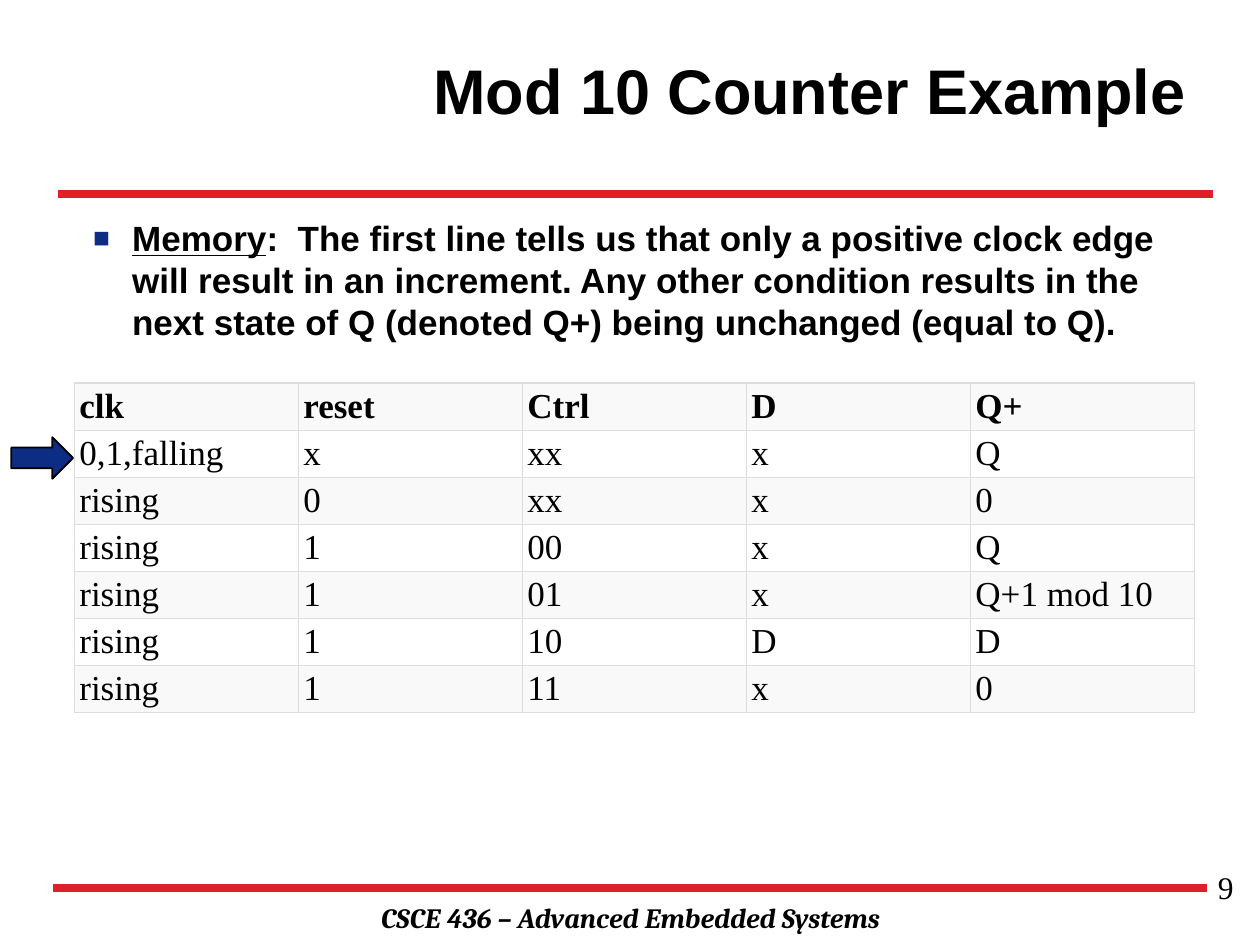
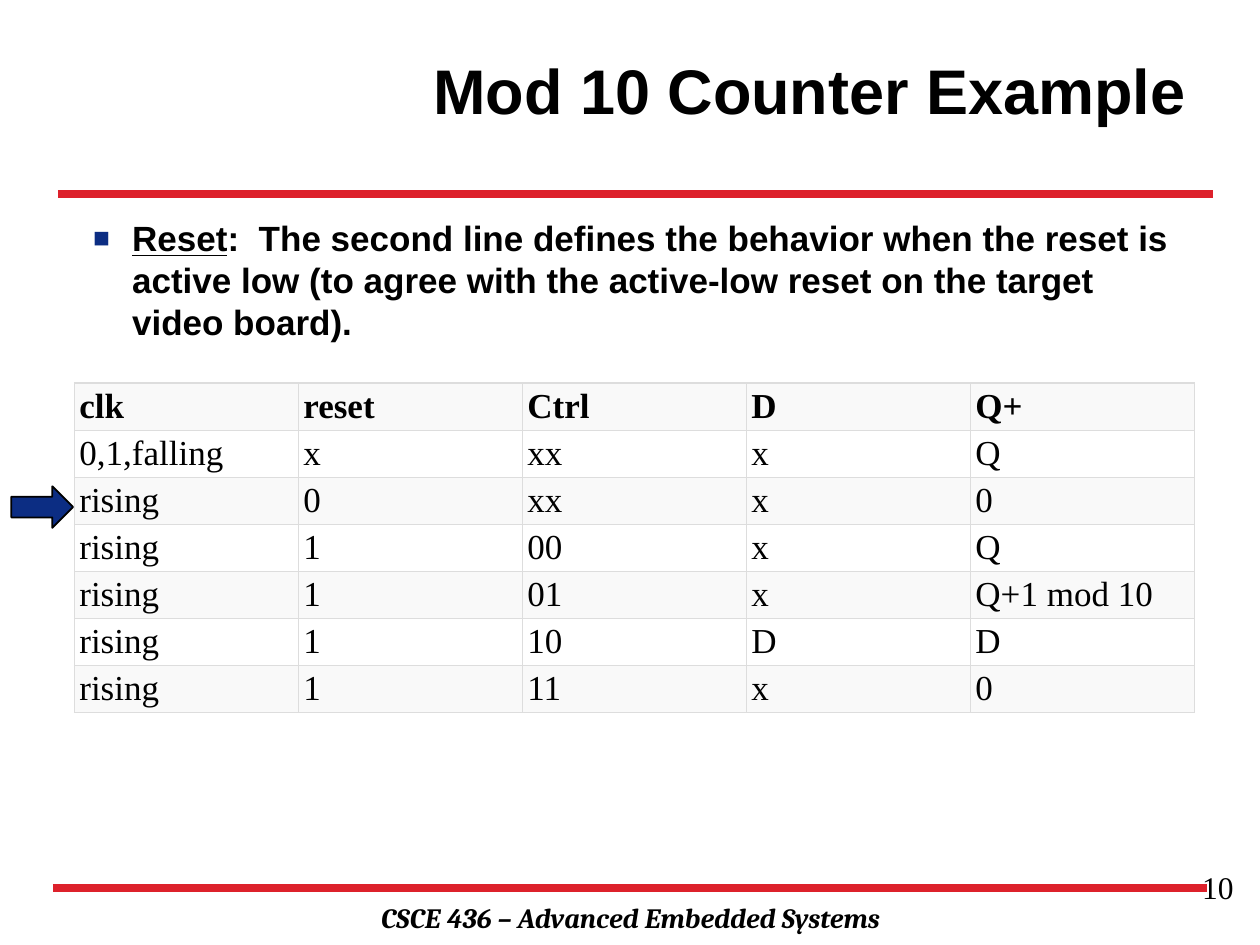
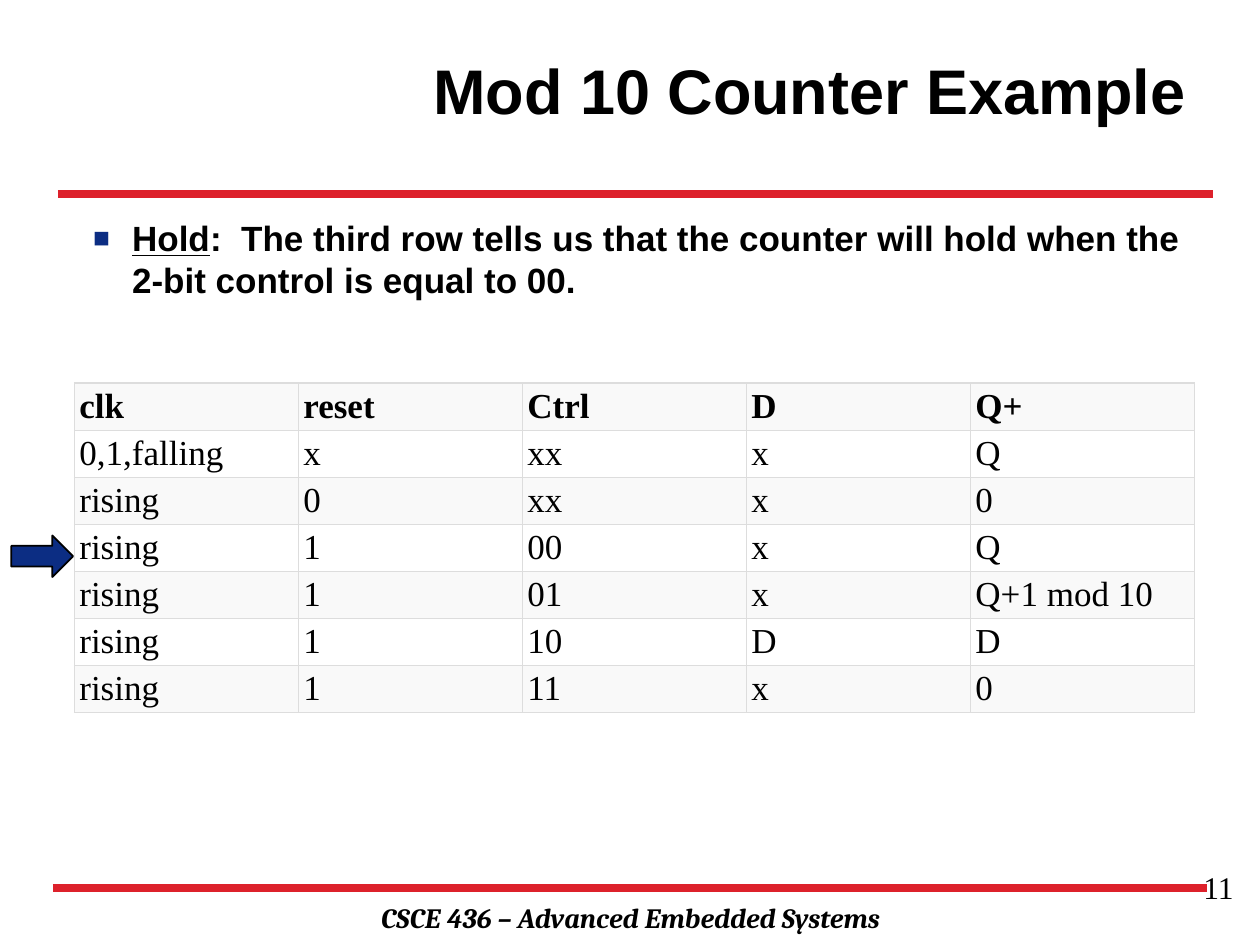
"""Build three slides that walk through the Mod 10 counter control table."""
from lxml import etree
from pptx import Presentation
from pptx import util as u
from pptx.dml.color import RGBColor
from pptx.enum import shapes, text
from pptx.oxml import ns

BLACK, WHITE, PALE = "000000", "FFFFFF", "F9F9F9"
RED, NAVY, GRAY = "DD212B", "0C2D83", "DDDDDD"
SERIF = "Times New Roman"
ALIGN = text.PP_ALIGN
COLS = 5
WIDE, HIGH = 8.89 / COLS, 0.37
NOTES = [
    ("Memory", ":  The first line tells us that only a positive clock edge will "
     "result in an increment. Any other condition results in the next state of Q "
     "(denoted Q+) being unchanged (equal to Q)."),
    ("Reset", ":  The second line defines the behavior when the reset is active low "
     "(to agree with the active-low reset on the target video board)."),
    ("Hold", ":  The third row tells us that the counter will hold when the 2-bit "
     "control is equal to 00."),
]
ROWS = [
    ["clk", "reset", "Ctrl", "D", "Q+"],
    ["0,1,falling", "x", "xx", "x", "Q"],
    ["rising", "0", "xx", "x", "0"],
    ["rising", "1", "00", "x", "Q"],
    ["rising", "1", "01", "x", "Q+1 mod 10"],
    ["rising", "1", "10", "D", "D"],
    ["rising", "1", "11", "x", "0"],
]
BULLET = [
    ("buClr", {}), ("buSzPct", {"val": "80000"}),
    ("buFont", {"typeface": "Arial"}), ("buChar", {"char": "■"}),
]


def hue(code):
    return RGBColor.from_string(code)


def write(frame, words, size=20, font="Arial", bold=False, italic=False,
          under=False, align=ALIGN.LEFT, anchor=text.MSO_ANCHOR.TOP):
    frame.word_wrap = True
    frame.vertical_anchor = anchor
    para = frame.paragraphs[0]
    para.alignment = align
    run = para.add_run()
    run.text = words
    face = run.font
    face.size, face.name = u.Pt(size), font
    face.bold, face.italic, face.underline = bold, italic, under
    face.color.rgb = hue(BLACK)
    return para


deck = Presentation()
deck.slide_width, deck.slide_height = u.Inches(10), u.Inches(7.5)

for step, (term, note) in enumerate(NOTES):
    slide = deck.slides.add_slide(deck.slide_layouts[6])
    parts = slide.shapes
    frames = []
    for box in [(1.42, 7.1, 7.17, 0.37), (2.09, 0.08, 7.42, 1.25),
                (0.64, 1.67, 8.89, 1.25), (7.56, 6.84, 2.33, 0.52)]:
        frames.append(parts.add_textbox(*map(u.Inches, box)).text_frame)
    foot, title, body, page = frames

    for left, right, top in [(0.42, 9.58, 7.05), (0.46, 9.63, 1.54)]:
        rule = parts.add_connector(
            shapes.MSO_CONNECTOR.STRAIGHT, u.Inches(left), u.Inches(top),
            u.Inches(right), u.Inches(top))
        rule.line.color.rgb = hue(RED)
        rule.line.width = u.Pt(4.5)
        etree.SubElement(rule._element.spPr, ns.qn("a:effectLst"))

    write(foot, "CSCE 436 – Advanced Embedded Systems", size=16, font="Cambria",
          bold=True, italic=True, align=ALIGN.CENTER)
    write(title, "Mod 10 Counter Example", size=36, bold=True, align=ALIGN.RIGHT,
          anchor=text.MSO_ANCHOR.MIDDLE)
    write(page, str(9 + step), size=18, font=SERIF, align=ALIGN.RIGHT)
    write(body, term, bold=True, under=True)
    para = write(body, note, bold=True)
    props = para._p.get_or_add_pPr()
    props.set("marL", str(u.Inches(0.31)))
    props.set("indent", str(u.Inches(-0.31)))
    for tag, attrs in BULLET:
        node = etree.SubElement(props, ns.qn("a:" + tag), attrs)
        if tag == "buClr":
            etree.SubElement(node, ns.qn("a:srgbClr"), val=NAVY)

    arrow = parts.add_shape(
        shapes.MSO_SHAPE.RIGHT_ARROW, u.Inches(0.09),
        u.Inches(3.47 + 0.39 * step), u.Inches(0.49), u.Inches(0.33))
    arrow.shadow.inherit = False
    arrow.fill.solid()
    arrow.fill.fore_color.rgb = hue(NAVY)
    arrow.line.color.rgb = hue(BLACK)
    arrow.line.width = u.Pt(1)

    table = parts.add_table(
        len(ROWS), COLS, u.Inches(0.59), u.Inches(3.04),
        u.Inches(WIDE * COLS), u.Inches(HIGH * len(ROWS))).table
    table.first_row = table.horz_banding = False
    for col in table.columns:
        col.width = u.Inches(WIDE)
    for i, row in enumerate(ROWS):
        table.rows[i].height = u.Inches(HIGH)
        for j, word in enumerate(row):
            cell = table.cell(i, j)
            cell.margin_left = cell.margin_right = u.Inches(0.04)
            cell.margin_top, cell.margin_bottom = u.Inches(0.03), u.Inches(0.01)
            write(cell.text_frame, word, font=SERIF, bold=i == 0)
            edges = cell._tc.get_or_add_tcPr()
            for side in "LRTB":
                edge = etree.SubElement(edges, ns.qn("a:ln" + side), w=str(u.Pt(0.75)))
                paint = etree.SubElement(edge, ns.qn("a:solidFill"))
                etree.SubElement(paint, ns.qn("a:srgbClr"), val=GRAY)
            cell.fill.solid()
            cell.fill.fore_color.rgb = hue(WHITE if i % 2 else PALE)

deck.save("out.pptx")
